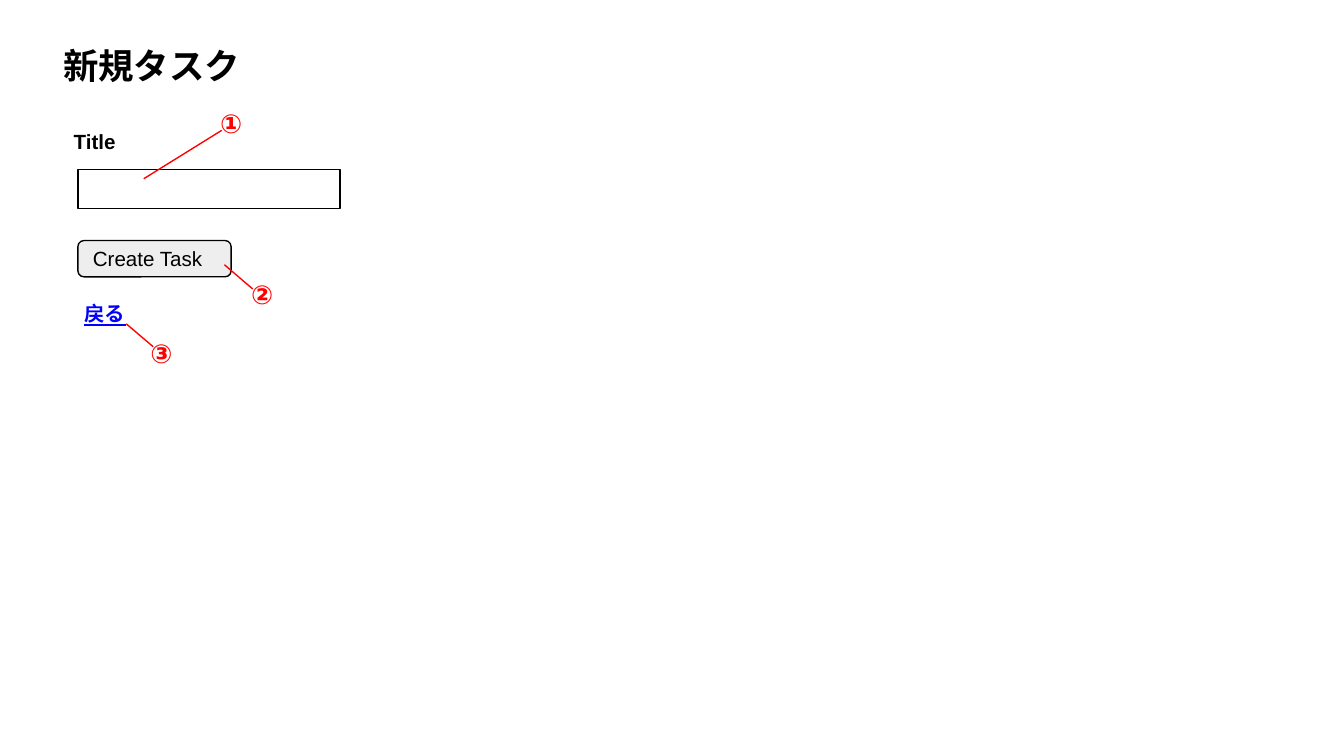
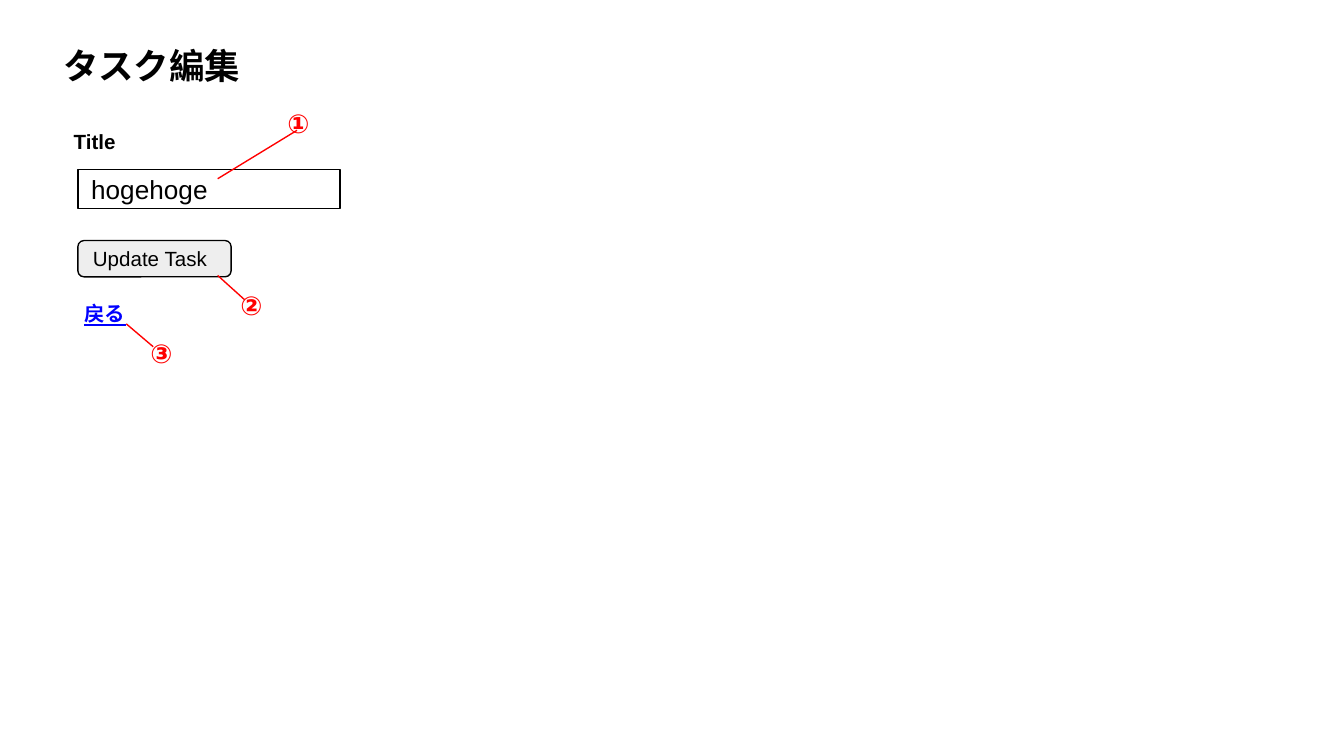
from lxml.etree import SubElement
from pptx import Presentation
from pptx.dml.color import RGBColor
from pptx.enum.shapes import MSO_CONNECTOR, MSO_SHAPE
from pptx.enum.text import MSO_ANCHOR, MSO_AUTO_SIZE, PP_ALIGN
from pptx.oxml.ns import qn
from pptx.util import Inches, Pt

FONT = "Arial"
BLACK, RED, BLUE, GREY, WHITE = "000000", "FF0000", "0000FF", "EEEEEE", "FFFFFF"
TITLE_ONLY = 5
FORM_LEFT = 0.58
LINE_WIDTH = 0.75


def color(value):
    return RGBColor.from_string(value)


def inches(*lengths):
    return [Inches(length) for length in lengths]


def write(shape, text, size, ink=BLACK, bold=False, underline=False, anchor=MSO_ANCHOR.TOP):
    """Put one line of formatted, left-aligned text in a shape."""
    frame = shape.text_frame
    frame.text = text
    frame.word_wrap = True
    frame.vertical_anchor = anchor
    frame.margin_left = frame.margin_right = Inches(0.1)
    frame.margin_top = frame.margin_bottom = Inches(0.1)
    para = frame.paragraphs[0]
    para.alignment = PP_ALIGN.LEFT
    for span in para.runs:
        font = span.font
        font.name, font.size, font.bold = FONT, Pt(size), bold
        font.underline = underline
        font.color.rgb = color(ink)


def add_title(page, text):
    title = page.shapes.title
    title.left, title.top, title.width, title.height = inches(0.37, 0.23, 2.64, 0.52)
    write(title, text, 19, bold=True)
    title.text_frame.auto_size = MSO_AUTO_SIZE.SHAPE_TO_FIT_TEXT


def add_label(page, text, place, size=11, ink=BLACK, underline=False):
    box = page.shapes.add_textbox(*inches(*place))
    write(box, text, size, ink, bold=True, underline=underline)
    box.text_frame.auto_size = MSO_AUTO_SIZE.SHAPE_TO_FIT_TEXT


def add_control(page, kind, place, text, size, fill=None):
    """Draw an outlined input field or button."""
    control = page.shapes.add_shape(kind, *inches(*place))
    control.shadow.inherit = False
    control.line.color.rgb = color(BLACK)
    control.line.width = Pt(LINE_WIDTH)
    if fill:
        control.fill.solid()
        control.fill.fore_color.rgb = color(fill)
    else:
        control.fill.background()
    if text:
        write(control, text, size, anchor=MSO_ANCHOR.MIDDLE)


def add_callout(page, number, corner, start, end):
    """Draw a red leader line and its circled number."""
    leader = page.shapes.add_connector(MSO_CONNECTOR.STRAIGHT, *inches(*start, *end))
    leader.line.color.rgb = color(RED)
    leader.line.width = Pt(LINE_WIDTH)
    SubElement(leader._element.spPr, qn("a:effectLst"))
    add_label(page, number, (*corner, 0.47, 0.44), size=14, ink=RED)


def add_task_form(deck, title, field_text, button_text, callouts):
    page = deck.slides.add_slide(deck.slide_layouts[TITLE_ONLY])
    page.background.fill.solid()
    page.background.fill.fore_color.rgb = color(WHITE)
    add_title(page, title)

    # Form
    add_label(page, "Title", (0.45, 0.87, 1.01, 0.39))
    add_control(page, MSO_SHAPE.RECTANGLE, (FORM_LEFT, 1.26, 1.95, 0.29), field_text, 14)
    add_control(page, MSO_SHAPE.ROUNDED_RECTANGLE, (FORM_LEFT, 1.79, 1.14, 0.27),
                button_text, 11, GREY)
    add_label(page, "戻る", (0.53, 2.15, 1.01, 0.39), ink=BLUE, underline=True)

    # Numbered callouts
    for number, callout in zip("①②③", callouts):
        add_callout(page, number, *callout)


def main():
    deck = Presentation()
    # Widescreen, 16:9
    deck.slide_width = Inches(10)
    deck.slide_height = Inches(10 * 9 / 16)

    # Each callout: number box corner, leader start, leader end
    back_callout = ((1.02, 2.41), (0.94, 2.41), (1.14, 2.58))
    add_task_form(deck, "新規タスク", "", "Create Task", [
        ((1.54, 0.7), (1.65, 0.97), (1.07, 1.33)),
        ((1.77, 1.97), (1.67, 1.97), (1.88, 2.15)),
        back_callout,
    ])
    add_task_form(deck, "タスク編集", "hogehoge", "Update Task", [
        ((2.04, 0.7), (2.21, 0.97), (1.62, 1.33)),
        ((1.69, 2.05), (1.62, 2.05), (1.82, 2.23)),
        back_callout,
    ])
    deck.save("out.pptx")


if __name__ == "__main__":
    main()
